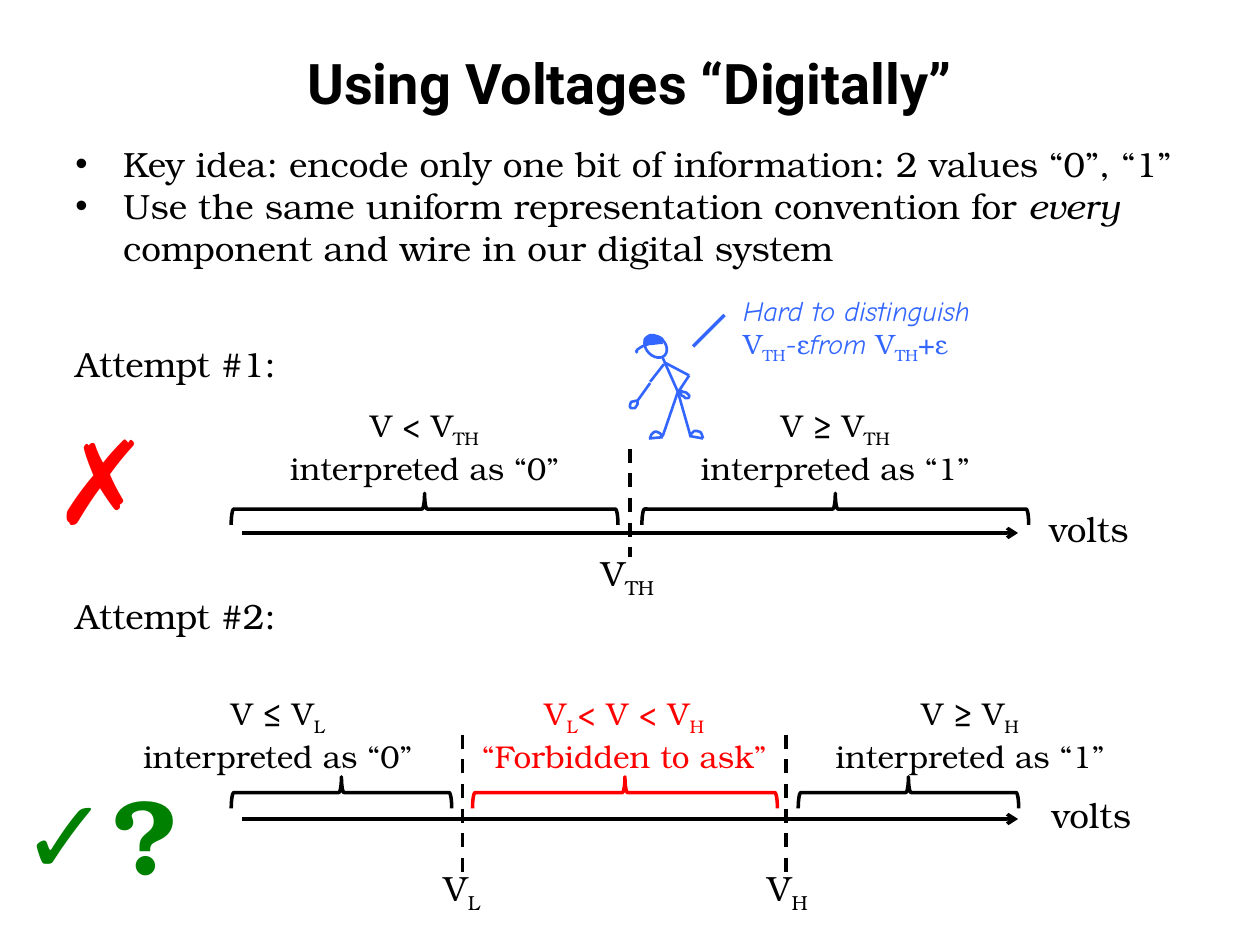
from lxml import etree
from pptx import Presentation
from pptx.dml.color import RGBColor
from pptx.enum.dml import MSO_LINE
from pptx.enum.shapes import MSO_CONNECTOR, MSO_SHAPE
from pptx.enum.text import MSO_ANCHOR, MSO_AUTO_SIZE, PP_ALIGN
from pptx.oxml.ns import qn
from pptx.util import Inches, Pt

BLACK = RGBColor(0, 0, 0)
RED = RGBColor(255, 0, 0)
GREEN = RGBColor(0, 128, 0)
BLUE = RGBColor(0x33, 0x66, 0xFF)
SERIF, SANS, HAND = "TeX Gyre Bonum", "Roboto", "Comic Neue"
CENTER, LEFT = PP_ALIGN.CENTER, PP_ALIGN.LEFT
DASH = MSO_LINE.DASH
FIT, FIXED = MSO_AUTO_SIZE.SHAPE_TO_FIT_TEXT, MSO_AUTO_SIZE.NONE
MIDDLE = MSO_ANCHOR.MIDDLE
STRAIGHT = MSO_CONNECTOR.STRAIGHT
BRACE, OVAL = MSO_SHAPE.RIGHT_BRACE, MSO_SHAPE.OVAL


def add_runs(para, text, size, color=BLACK, font=SERIF, bold=False, italic=False):
    """Add runs; the parts between ~ marks are subscripts."""
    for i, part in enumerate(text.split("~")):
        if not part:
            continue
        run = para.add_run()
        run.text = part
        style = run.font
        style.name, style.size = font, Pt(size)
        style.bold, style.italic = bold, italic
        style.color.rgb = color
        if i % 2:
            run._r.get_or_add_rPr().set("baseline", "-25000")


def add_box(slide, x, y, w, h, wrap=False):
    box = slide.shapes.add_textbox(Inches(x), Inches(y), Inches(w), Inches(h))
    frame = box.text_frame
    frame.word_wrap = wrap
    frame.auto_size = FIT
    return frame


def add_label(slide, x, y, w, h, lines, size=20, color=BLACK,
              align=LEFT, wrap=False, bold=False):
    frame = add_box(slide, x, y, w, h, wrap)
    for i, line in enumerate(lines):
        para = frame.add_paragraph() if i else frame.paragraphs[0]
        para.alignment = align
        add_runs(para, line, size, color, bold=bold)


def add_line(slide, x1, y1, x2, y2, color=BLACK, width=2, dash=None, arrow=False):
    line = slide.shapes.add_connector(
        STRAIGHT, Inches(x1), Inches(y1), Inches(x2), Inches(y2))
    line.line.color.rgb = color
    line.line.width = Pt(width)
    if dash:
        line.line.dash_style = dash
    if arrow:
        etree.SubElement(line.line._get_or_add_ln(), qn("a:tailEnd"), type="arrow")
    etree.SubElement(line._element.spPr, qn("a:effectLst"))


def set_look(shape, color, width, filled=False):
    shape.shadow.inherit = False
    shape.line.color.rgb = color
    shape.line.width = Pt(width)
    if filled:
        shape.fill.solid()
        shape.fill.fore_color.rgb = color
    else:
        shape.fill.background()


def add_brace(slide, mid, y, span, color=BLACK):
    """Brace opening downwards, centred on (mid, y)."""
    thick = 0.25
    brace = slide.shapes.add_shape(
        BRACE, Inches(mid - thick / 2), Inches(y - span / 2), Inches(thick), Inches(span))
    brace.rotation = 270
    set_look(brace, color, 2)


def add_curve(slide, points, closed=False, filled=False):
    """Chain of cubic curves: a start point, then three points per curve."""
    start, *rest = [(Inches(x), Inches(y)) for x, y in points]
    form = slide.shapes.build_freeform(*start, scale=1.0)
    form.add_line_segments(rest, close=closed)
    shape = form.convert_to_shape()
    # Join each three straight steps into one curve
    steps = list(shape._element.iter(qn("a:lnTo")))
    for i in range(0, len(steps), 3):
        first, *others = steps[i:i + 3]
        first.tag = qn("a:cubicBezTo")
        for step in others:
            first.append(step[0])
            step.getparent().remove(step)
    set_look(shape, BLUE, 1.5, filled)


def add_axis(slide, y, x, top, title):
    add_line(slide, 1.92, y, 8.08, y, arrow=True)
    add_label(slide, x, y - 0.25, 0.86, 0.44, ["volts"])
    add_label(slide, 0.5, top, 1.83, 0.44, [title])


def add_intro(slide):
    # Title
    frame = add_box(slide, 0.5, 0.3, 9, 0.7, True)
    frame.auto_size = FIXED
    frame.vertical_anchor = MIDDLE
    frame.paragraphs[0].alignment = CENTER
    add_runs(frame.paragraphs[0], "Using Voltages “Digitally”", 32, font=SANS, bold=True)

    # Bullets
    frame = add_box(slide, 0.5, 1.08, 9, 1.11, True)
    items = [
        ["Key idea: encode only one bit of information: 2 values “0”, “1”"],
        ["Use the same uniform representation convention for ", "every",
         " component and wire in our digital system"],
    ]
    for i, parts in enumerate(items):
        para = frame.add_paragraph() if i else frame.paragraphs[0]
        props = para._p.get_or_add_pPr()
        props.set("marL", str(Inches(0.38)))
        props.set("indent", str(-Inches(0.38)))
        etree.SubElement(props, qn("a:buFont"), typeface="Arial")
        etree.SubElement(props, qn("a:buChar"), char="•")
        for part in parts:
            add_runs(para, part, 20, italic=part == "every")


def add_first(slide):
    add_axis(slide, 4.23, 8.23, 2.67, "Attempt #1:")
    add_line(slide, 5, 3.56, 5, 4.42, dash=DASH)
    add_label(slide, 4.67, 4.33, 0.66, 0.44, ["V~TH~"])
    for mid, sign, bit in [(3.37, "<", 0), (6.63, "≥", 1)]:
        add_brace(slide, mid, 4.04, 3.07)
        add_label(slide, mid - 1.19, 3.17, 2.38, 0.71,
                  [f"V {sign} V~TH~", f"interpreted as “{bit}”"], 18, align=CENTER)
    add_label(slide, 0.33, 3.2, 1.13, 1.21, ["✗"], 66, RED, bold=True)


def add_second(slide):
    add_axis(slide, 6.5, 8.25, 4.67, "Attempt #2:")
    for x, left, w, name in [(3.67, 3.42, 0.51, "L"), (6.24, 5.99, 0.55, "H")]:
        add_line(slide, x, 5.83, x, 6.92, dash=DASH)
        add_label(slide, left, 6.83, w, 0.44, [f"V~{name}~"])
    zones = [
        (2.71, 1.75, 0.83, 2.75, True, BLACK, "V ≤ V~L~", "interpreted as “0”"),
        (4.96, 2.42, 3.58, 2.75, True, RED, "V~L~< V < V~H~", "“Forbidden to ask”"),
        (7.21, 1.75, 6.52, 2.36, False, BLACK, "V ≥ V~H~", "interpreted as “1”"),
    ]
    for mid, span, left, w, wrap, color, *lines in zones:
        add_brace(slide, mid, 6.29, span, color)
        add_label(slide, left, 5.46, w, 0.71, lines, 18, color, CENTER, wrap)
    add_label(slide, 0.07, 6.06, 1.6, 1.11, ["✓?"], 60, GREEN, bold=True)


def add_person(slide):
    # Speech
    para = add_box(slide, 5.8, 2.28, 2.3, 0.64).paragraphs[0]
    add_runs(para, "Hard to distinguish ", 16, BLUE, HAND, italic=True)
    para.add_line_break()
    add_runs(para, "V~TH~-ε", 16, BLUE)
    add_runs(para, "from ", 16, BLUE, HAND, italic=True)
    add_runs(para, "V~TH~+ε", 16, BLUE)
    add_line(slide, 5.5, 2.75, 5.75, 2.5, BLUE)

    # Body, legs, soles and arms
    hip = (5.38, 3.11)
    limbs = [
        (5.26, 2.84, *hip), (*hip, 5.26, 3.46), (*hip, 5.48, 3.46),
        (5.26, 3.47, 5.15, 3.48), (5.47, 3.46, 5.58, 3.48),
        (5.16, 3.03, 5.27, 2.89), (5.16, 3.04, 5.06, 3.18),
        (5.28, 2.88, 5.47, 2.98), (5.47, 2.98, 5.39, 3.1),
    ]
    for limb in limbs:
        add_line(slide, *limb, BLUE, 1.5)

    # Feet
    add_curve(slide, [(5.16, 3.48), (5.17, 3.45), (5.17, 3.44), (5.19, 3.43), (5.2, 3.42),
                      (5.23, 3.43), (5.24, 3.44), (5.25, 3.44), (5.25, 3.47), (5.26, 3.47)])
    add_curve(slide, [(5.58, 3.48), (5.57, 3.45), (5.57, 3.44), (5.56, 3.43), (5.55, 3.42),
                      (5.52, 3.42), (5.51, 3.42), (5.49, 3.43), (5.48, 3.46), (5.47, 3.46)])
    # Hands
    add_curve(slide, [(5.06, 3.18), (5.05, 3.18), (5.01, 3.19), (5.01, 3.19), (5, 3.2),
                      (5, 3.22), (5, 3.23), (5, 3.24), (5, 3.24), (5.01, 3.24),
                      (5.02, 3.24), (5.03, 3.24), (5.04, 3.24), (5.05, 3.23), (5.05, 3.22),
                      (5.06, 3.21), (5.06, 3.2), (5.06, 3.18), (5.06, 3.18)], True)
    add_curve(slide, [(5.39, 3.1), (5.39, 3.1), (5.41, 3.1), (5.42, 3.11), (5.44, 3.11),
                      (5.45, 3.12), (5.45, 3.12), (5.46, 3.13), (5.47, 3.14), (5.47, 3.14),
                      (5.47, 3.15), (5.47, 3.16), (5.46, 3.16), (5.46, 3.16), (5.44, 3.16),
                      (5.44, 3.16), (5.43, 3.15), (5.42, 3.14), (5.41, 3.14), (5.41, 3.13),
                      (5.39, 3.11), (5.39, 3.1)], True)
    # Head, brim and cap
    head = slide.shapes.add_shape(OVAL, Inches(5.13), Inches(2.65), Inches(0.15), Inches(0.2))
    head.rotation = 314.9
    set_look(head, BLUE, 1.5)
    add_curve(slide, [(5.26, 2.72), (5.22, 2.72), (5.18, 2.73), (5.15, 2.73), (5.12, 2.74),
                      (5.09, 2.75), (5.08, 2.76), (5.06, 2.77), (5.05, 2.78), (5.05, 2.79),
                      (5.05, 2.79), (5.06, 2.8), (5.06, 2.8)])
    add_curve(slide, [(5.26, 2.7), (5.26, 2.69), (5.23, 2.67), (5.21, 2.67), (5.2, 2.66),
                      (5.17, 2.66), (5.16, 2.66), (5.14, 2.67), (5.13, 2.68), (5.12, 2.69),
                      (5.11, 2.69), (5.12, 2.71), (5.12, 2.71), (5.11, 2.72), (5.11, 2.73),
                      (5.12, 2.73), (5.13, 2.73), (5.16, 2.72), (5.19, 2.72), (5.21, 2.72),
                      (5.25, 2.71), (5.26, 2.7)], True, True)


def main():
    deck = Presentation()
    deck.slide_width, deck.slide_height = Inches(10), Inches(7.5)
    slide = deck.slides.add_slide(deck.slide_layouts[6])
    add_intro(slide)
    add_first(slide)
    add_second(slide)
    add_person(slide)
    deck.save("out.pptx")


if __name__ == "__main__":
    main()
